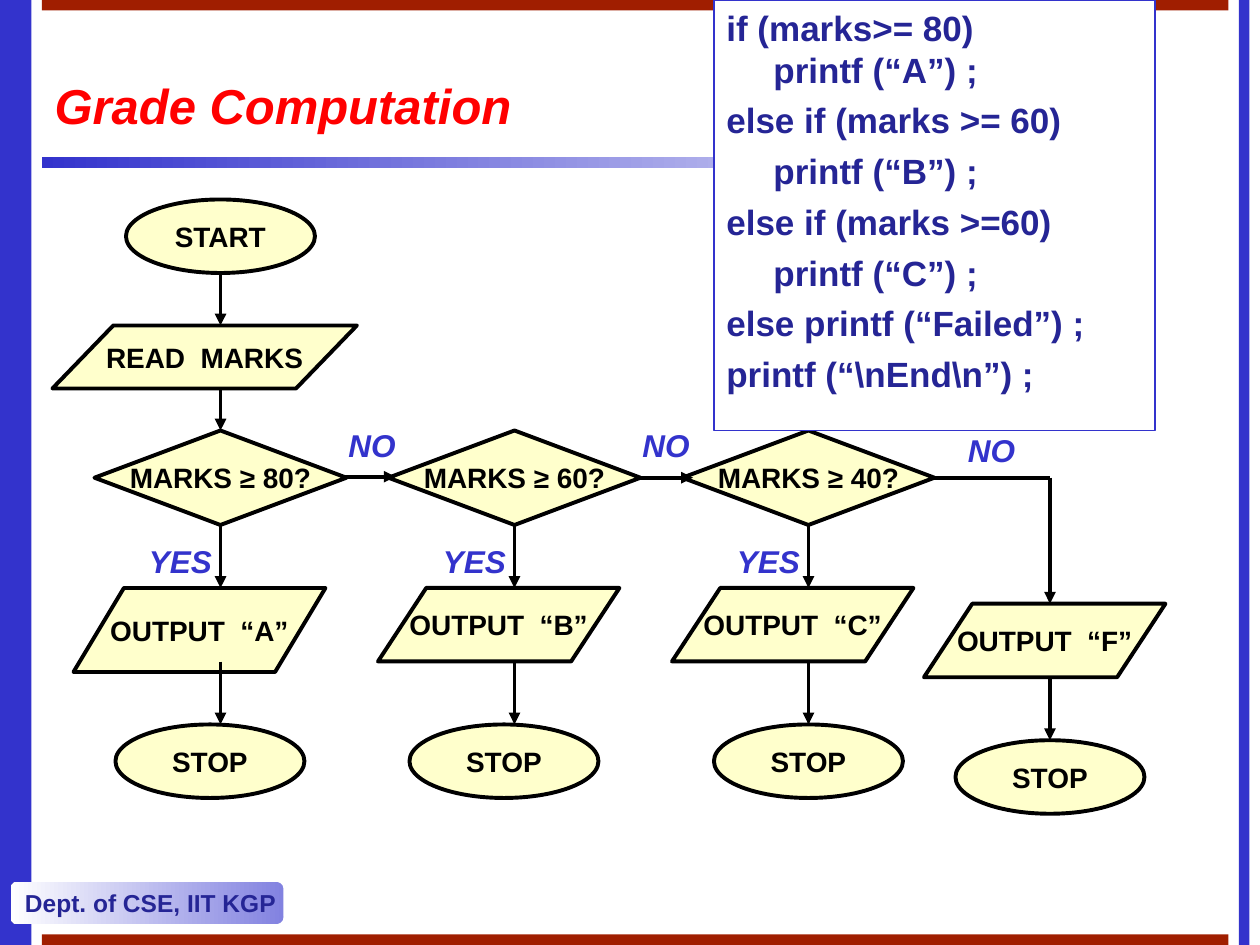
"""Build the grade computation flowchart slide."""
from lxml import etree
from pptx import Presentation
from pptx.dml.color import RGBColor
from pptx.enum.shapes import MSO_CONNECTOR, MSO_SHAPE
from pptx.enum.text import MSO_ANCHOR, PP_ALIGN
from pptx.oxml.ns import qn
from pptx.util import Cm, Pt

RECT, ROUNDED = MSO_SHAPE.RECTANGLE, MSO_SHAPE.ROUNDED_RECTANGLE
TERMINAL, DECISION = MSO_SHAPE.OVAL, MSO_SHAPE.FLOWCHART_DECISION
DATA = MSO_SHAPE.FLOWCHART_DATA
STRAIGHT = MSO_CONNECTOR.STRAIGHT
TOP, MIDDLE = MSO_ANCHOR.TOP, MSO_ANCHOR.MIDDLE
LEFT, CENTER = PP_ALIGN.LEFT, PP_ALIGN.CENTER

THEME = {
    "font": "Arial",
    "blue": "3333CC", "navy": "252595", "lilac": "8282E0", "brown": "A01E00",
    "red": "FF0000", "cream": "FFFFCC", "ink": "000000", "paper": "FFFFFF",
    "title": {"size": Pt(28), "bold": True, "italic": True},
    "code": {"size": Pt(20), "bold": True},
    "answer": {"size": Pt(18), "bold": True, "italic": True},
    "node": {"size": Pt(16), "bold": True},
    "footer": {"size": Pt(14), "bold": True},
    "flow_line": Pt(2.25), "code_line": Pt(0.75), "code_gap": Pt(5),
}

TITLE = "Grade Computation"
FOOTER = "Dept. of CSE, IIT KGP"
CODE = [
    "if (marks>= 80)\nprintf (“A”) ;",
    "else if (marks >= 60)",
    "\tprintf (“B”) ;",
    "else if (marks >=60)",
    "\tprintf (“C”) ;",
    "else printf (“Failed”) ;",
    "printf (“\\nEnd\\n”) ;",
]
RAILS = [
    ("blue", (0, 0, 3, 90)), ("blue", (118, 0, 1, 90)),
    ("brown", (4, 0, 113, 1)), ("brown", (4, 89, 113, 1)),
]
OPENING = [
    (TERMINAL, "START", (12, 19, 18, 7)),
    (DATA, "READ  MARKS", (5, 31, 29, 6)),
]
BRANCHES = [
    {"grade": "A", "limit": 80, "axis": 21, "output": (7, 24, 8), "stop": 11},
    {"grade": "B", "limit": 60, "axis": 49, "output": (36, 23, 7), "stop": 39},
    {"grade": "C", "limit": 40, "axis": 77, "output": (64, 23, 7), "stop": 68},
    {"grade": "F", "limit": None, "axis": 100, "output": (88, 23, 7), "stop": 91},
]
LINKS = [
    (21, 26, 21, 31, True), (21, 37, 21, 41, True),
    (32.67, 45.4, 37.67, 45.4, True), (61, 45.5, 66, 45.5, True),
    (89, 45.5, 100, 45.5, False), (100, 45.5, 100, 57.5, True),
]
NO_LABELS = [(32, 40), (60, 40), (91, 40.5)]
FAIL_DROP = 1.5


def grid(*twelfths):
    """Turn twelfths of an inch into lengths."""
    return [Cm(n * 2.54 / 12) for n in twelfths]


def colour(name):
    """Look up a theme colour."""
    return RGBColor.from_string(THEME[name])


def write(paragraph, text, style, ink):
    """Put styled text in a paragraph."""
    paragraph.text = text
    for run in paragraph.runs:
        for key, value in {"name": THEME["font"], **THEME[style]}.items():
            setattr(run.font, key, value)
        run.font.color.rgb = colour(ink)


def block(slide, kind, place, fill, line=None, weight="flow_line"):
    """Add a flat filled shape."""
    shape = slide.shapes.add_shape(kind, *grid(*place))
    shape.shadow.inherit = False
    if isinstance(fill, tuple):
        shape.fill.gradient()
        shape.fill.gradient_angle = 180
        for stop, name in zip(shape.fill.gradient_stops, fill):
            stop.color.rgb = colour(name)
    else:
        shape.fill.solid()
        shape.fill.fore_color.rgb = colour(fill)
    if line:
        shape.line.color.rgb = colour(line)
        shape.line.width = THEME[weight]
    else:
        shape.line.fill.background()
    return shape


def caption(shape, text, style, ink, align=CENTER):
    """Write one unwrapped line in the middle of a shape."""
    frame = shape.text_frame
    frame.word_wrap = False
    frame.vertical_anchor = MIDDLE
    frame.paragraphs[0].alignment = align
    write(frame.paragraphs[0], text, style, ink)


def node(slide, kind, text, place):
    """Add a flowchart step."""
    caption(block(slide, kind, place, "cream", "ink"), text, "node", "ink")


def link(slide, x1, y1, x2, y2, arrow=True):
    """Join two steps."""
    connector = slide.shapes.add_connector(STRAIGHT, *grid(x1, y1, x2, y2))
    connector.line.color.rgb = colour("ink")
    connector.line.width = THEME["flow_line"]
    if arrow:
        etree.SubElement(connector.line._get_or_add_ln(), qn("a:tailEnd"), type="triangle")
    etree.SubElement(connector._element.spPr, qn("a:effectLst"))


def answer(slide, text, left, top):
    """Label a branch with its answer."""
    frame = slide.shapes.add_textbox(*grid(left, top, 14, 4.8)).text_frame
    frame.word_wrap = True
    write(frame.paragraphs[0], text, "answer", "blue")


def draw_frame(slide):
    """Draw the title, rails, rule and footer."""
    title = slide.shapes.title
    for key, value in zip(("left", "top", "width", "height"), grid(4, 6, 113, 8)):
        setattr(title, key, value)
    title.text_frame.vertical_anchor = MIDDLE
    title.text_frame.paragraphs[0].alignment = LEFT
    write(title.text_frame.paragraphs[0], TITLE, "title", "red")
    for fill, place in RAILS:
        block(slide, RECT, place, fill)
    block(slide, RECT, (4, 15, 106, 1), ("paper", "blue"))
    footer = block(slide, ROUNDED, (1, 84, 26, 4), ("lilac", "paper"))
    caption(footer, FOOTER, "footer", "navy", LEFT)


def draw_flow(slide):
    """Draw the steps, links and answers."""
    for step in OPENING:
        node(slide, *step)
    for branch in BRANCHES:
        axis = branch["axis"]
        drop = 0 if branch["limit"] else FAIL_DROP
        left, width, height = branch["output"]
        if branch["limit"]:
            node(slide, DECISION, f"MARKS ≥ {branch['limit']}?", (axis - 12, 41, 24, 9))
        node(slide, DATA, f"OUTPUT  “{branch['grade']}”", (left, 56 + drop, width, height))
        node(slide, TERMINAL, "STOP", (branch["stop"], 69 + drop, 18, 7))
        link(slide, axis, 63 + drop, axis, 69 + drop)
        if branch["limit"]:
            link(slide, axis, 50, axis, 56)
            answer(slide, "YES", axis - 8, 51)
    for ends in LINKS:
        link(slide, *ends)
    for place in NO_LABELS:
        answer(slide, "NO", *place)


def draw_code(slide):
    """Draw the code panel."""
    frame = block(slide, RECT, (68, 0, 42, 41), "paper", "blue", "code_line").text_frame
    frame.word_wrap = True
    frame.vertical_anchor = TOP
    indent = Cm(0.95)
    for index, text in enumerate(CODE):
        paragraph = frame.add_paragraph() if index else frame.paragraphs[0]
        paragraph.alignment = LEFT
        if index:
            paragraph.space_before = THEME["code_gap"]
        properties = paragraph._p.get_or_add_pPr()
        properties.set("marL", str(indent))
        properties.set("indent", str(-indent))
        write(paragraph, text, "code", "navy")


def main():
    """Assemble and save the slide."""
    deck = Presentation()
    deck.slide_width, deck.slide_height = grid(120, 90)
    slide = deck.slides.add_slide(deck.slide_layouts[5])
    draw_frame(slide)
    draw_flow(slide)
    draw_code(slide)
    deck.save("out.pptx")


if __name__ == "__main__":
    main()
